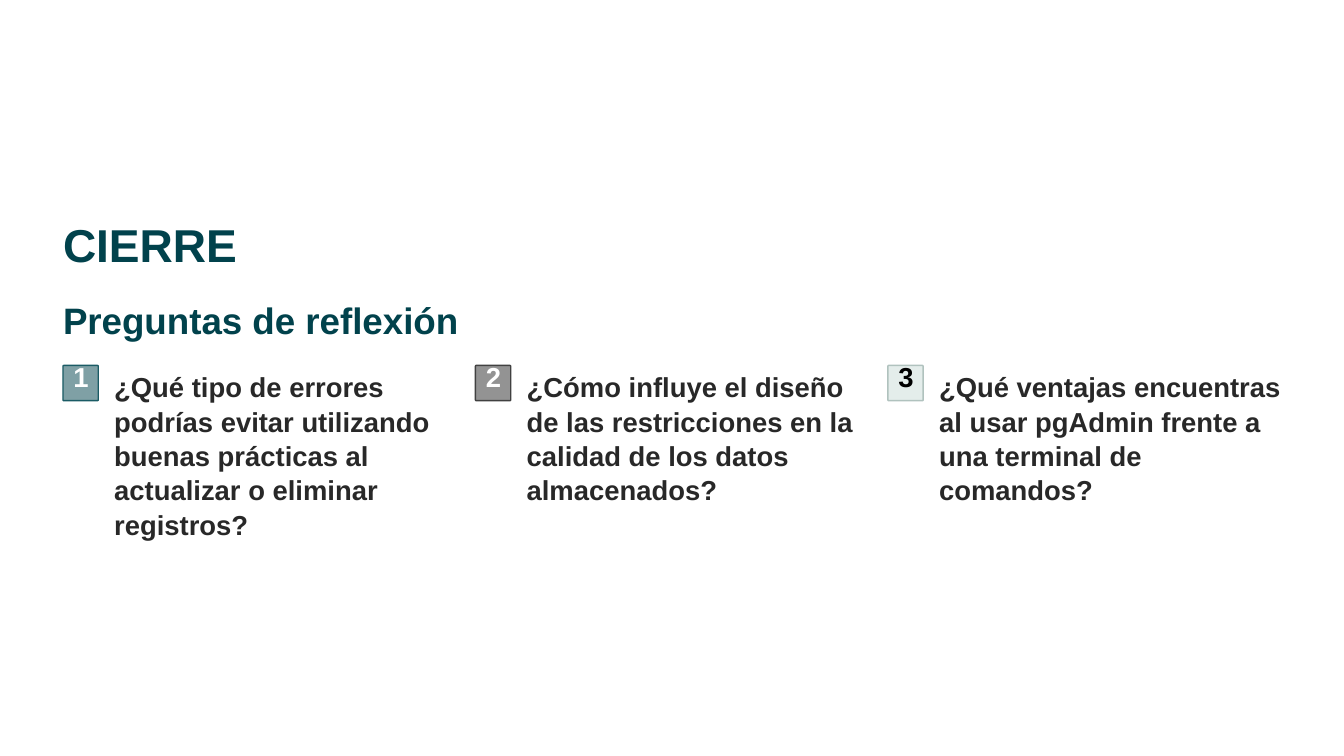
from pptx import Presentation
from pptx.dml.color import RGBColor
from pptx.enum.shapes import MSO_SHAPE
from pptx.enum.text import MSO_ANCHOR, MSO_AUTO_SIZE, PP_ALIGN
from pptx.oxml.ns import qn
from pptx.util import Inches, Pt
from lxml.etree import SubElement

TITLE = "CIERRE"
SUBTITLE = "Preguntas de reflexión"
# question, badge fill, badge line, number colour, text height
QUESTIONS = [
    ("¿Qué tipo de errores podrías evitar utilizando buenas prácticas "
     "al actualizar o eliminar registros?", "01424C", "1A5B65", "FFFFFF", 2.07),
    ("¿Cómo influye el diseño de las restricciones en la calidad de los datos "
     "almacenados?", "282828", "414141", "FFFFFF", 1.65),
    ("¿Qué ventajas encuentras al usar pgAdmin frente a una terminal de "
     "comandos?", "CADCD8", "B0C2BE", "000000", 1.65),
]
TEAL, INK = "01424C", "282828"
LEFT, PITCH = 0.75, 4.91
BADGE_TOP, BADGE = 4.35, 0.42


def rgb(code):
    return RGBColor.from_string(code)


def write(s, text, size, leading, color, align=PP_ALIGN.LEFT, wrap=False):
    tf = s.text_frame
    tf.margin_left = tf.margin_right = tf.margin_top = tf.margin_bottom = 0
    tf.word_wrap = wrap
    tf.auto_size = MSO_AUTO_SIZE.NONE
    tf.vertical_anchor = MSO_ANCHOR.TOP
    tf.text = text
    p = tf.paragraphs[0]
    p.alignment = align
    p.line_spacing = Pt(leading)
    p.space_before = Pt(0)
    p.font.name, p.font.size, p.font.bold = "Arial", Pt(size), True
    p.font.color.rgb = rgb(color)


def add_text(slide, box, *args, **kwargs):
    write(slide.shapes.add_textbox(*map(Inches, box)), *args, **kwargs)


def add_badge(slide, x, fill, line):
    s = slide.shapes.add_shape(MSO_SHAPE.ROUNDED_RECTANGLE, Inches(x),
                               Inches(BADGE_TOP), Inches(BADGE), Inches(BADGE))
    s.adjustments[0] = 0.024
    s.shadow.inherit = False
    s.fill.solid()
    s.fill.fore_color.rgb = rgb(fill)
    fill_color = s.fill._xPr.find(qn("a:solidFill"))[0]
    SubElement(fill_color, qn("a:alpha"), val="50000")
    s.line.color.rgb = rgb(line)
    s.line.width = Pt(1.2)


prs = Presentation()
prs.slide_width, prs.slide_height = Inches(16), Inches(9)
slide = prs.slides.add_slide(prs.slide_layouts[5])

title = slide.shapes.title
title.left, title.top = Inches(LEFT), Inches(2.55)
title.width, title.height = Inches(5.52), Inches(0.69)
write(title, TITLE, 39.5, 49.5, TEAL)
add_text(slide, (LEFT, 3.52, 4.59, 0.55), SUBTITLE, 31.5, 39.5, TEAL)

for i, (question, fill, line, number_color, height) in enumerate(QUESTIONS):
    x = LEFT + i * PITCH
    add_badge(slide, x, fill, line)
    add_text(slide, (x + 0.05, BADGE_TOP, 0.33, 0.41), str(i + 1), 23.5, 23.5,
             number_color, align=PP_ALIGN.CENTER)
    add_text(slide, (x + 0.61, 4.39, 4.07, height), question, 23.5, 29.5, INK,
             wrap=True)

prs.save("out.pptx")
